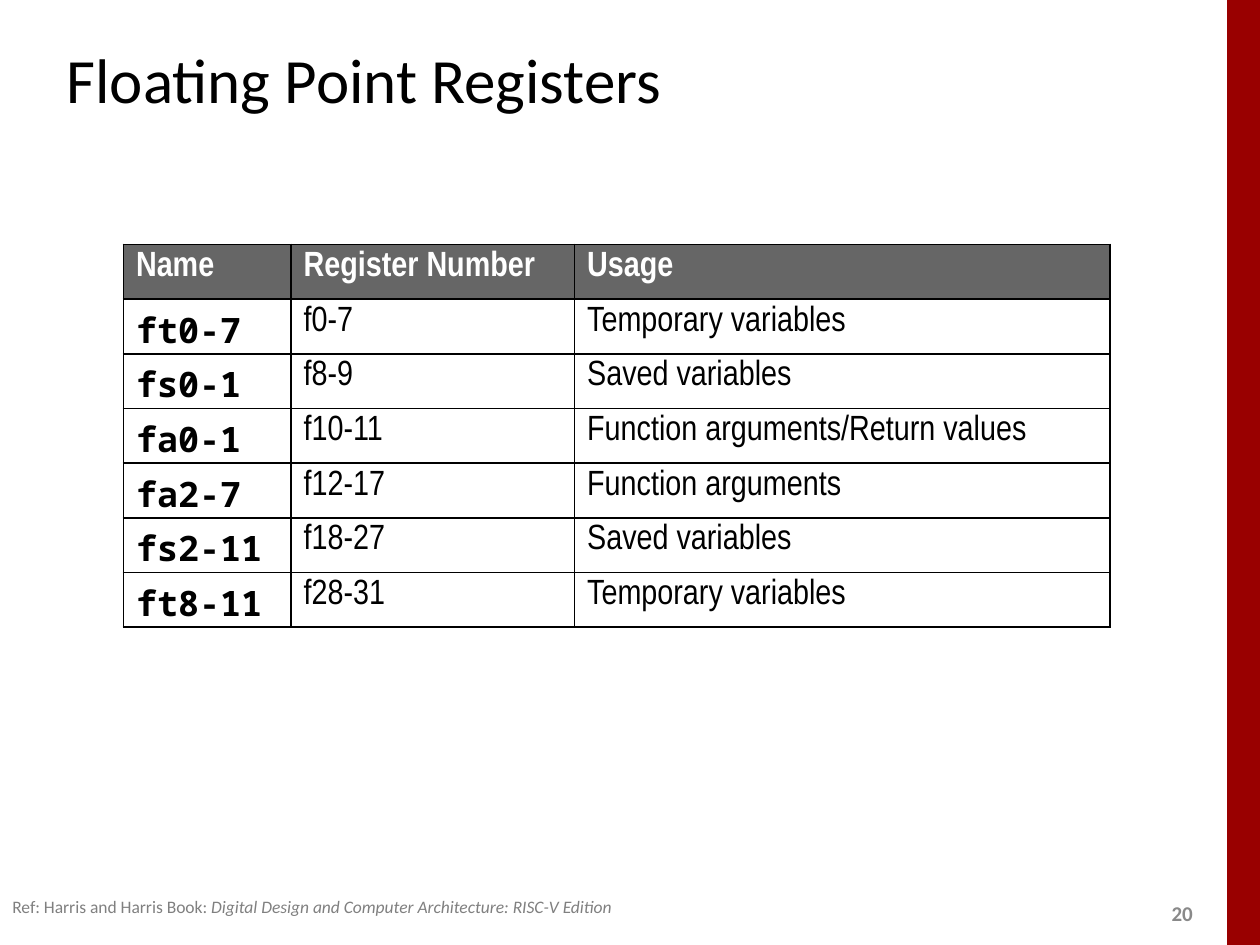
from lxml import etree
from pptx import Presentation
from pptx.dml.color import RGBColor
from pptx.enum.shapes import MSO_SHAPE
from pptx.enum.text import MSO_ANCHOR
from pptx.oxml.ns import qn
from pptx.util import Inches, Pt

RECTANGLE = MSO_SHAPE.RECTANGLE
TOP, MIDDLE = MSO_ANCHOR.TOP, MSO_ANCHOR.MIDDLE

COLORS = {
    "bar": "990000", "header": "666666", "white": "FFFFFF",
    "black": "000000", "number": "898989", "reference": "808080",
}
SANS, NARROW, MONO = "Calibri", "Arial Narrow", "Noto Sans Mono"

COLUMN_WIDTHS = [1.33, 2.25, 4.25]
ROW_HEIGHT = 0.38
REGISTERS = [
    ("Name", "Register Number", "Usage"),
    ("ft0-7", "f0-7", "Temporary variables"),
    ("fs0-1", "f8-9", "Saved variables"),
    ("fa0-1", "f10-11", "Function arguments/Return values"),
    ("fa2-7", "f12-17", "Function arguments"),
    ("fs2-11", "f18-27", "Saved variables"),
    ("ft8-11", "f28-31", "Temporary variables"),
]


def rgb(name):
    """Return the named colour."""
    return RGBColor.from_string(COLORS[name])


def add_text(para, text, size=20, font=SANS, color="black", bold=False,
             italic=False, hanging=0):
    """Append a formatted span to a paragraph."""
    span = para.add_run()
    span.text = text
    span.font.size = Pt(size)
    span.font.name = font
    span.font.bold = bold
    span.font.italic = italic
    span.font.color.rgb = rgb(color)
    if hanging:
        properties = para._p.get_or_add_pPr()
        properties.set("marL", str(Inches(hanging)))
        properties.set("indent", str(-Inches(hanging)))


def add_borders(cell, color="black", width=1):
    """Draw a solid line on all four sides of a cell."""
    properties = cell._tc.get_or_add_tcPr()
    for index, side in enumerate(("lnL", "lnR", "lnT", "lnB")):
        line = etree.Element(qn(f"a:{side}"), w=str(Pt(width)))
        fill = etree.SubElement(line, qn("a:solidFill"))
        etree.SubElement(fill, qn("a:srgbClr"), val=COLORS[color])
        properties.insert(index, line)


class SlideBuilder:
    """Adds styled elements to the current slide."""

    def __init__(self, page):
        """Keep the slide that receives the elements."""
        self.page = page

    def bar(self, left, top, width, height, color):
        """Add a plain filled rectangle."""
        bar = self.page.shapes.add_shape(
            RECTANGLE, Inches(left), Inches(top), Inches(width), Inches(height))
        bar.shadow.inherit = False
        bar.fill.solid()
        bar.fill.fore_color.rgb = rgb(color)
        bar.line.fill.background()

    def text(self, left, top, width, height, spans, anchor=TOP, **style):
        """Add a text box holding one paragraph of (text, extra style) spans."""
        box = self.page.shapes.add_textbox(
            Inches(left), Inches(top), Inches(width), Inches(height))
        frame = box.text_frame
        frame.word_wrap = True
        frame.vertical_anchor = anchor
        for text, extra in spans:
            add_text(frame.paragraphs[0], text, **{**style, **extra})

    def table(self, left, top, rows, widths, row_height):
        """Add a bordered table with a dark header and a code column."""
        table = self.page.shapes.add_table(
            len(rows), len(widths), Inches(left), Inches(top),
            Inches(sum(widths)), Inches(row_height * len(rows))).table
        table.horz_banding = False
        for column, width in zip(table.columns, widths):
            column.width = Inches(width)
        for r, row in enumerate(rows):
            for c, text in enumerate(row):
                is_header = r == 0
                is_code = c == 0 and not is_header
                cell = table.cell(r, c)
                cell.fill.solid()
                cell.fill.fore_color.rgb = rgb("header" if is_header else "white")
                add_borders(cell)
                add_text(cell.text_frame.paragraphs[0], text,
                         font=MONO if is_code else NARROW,
                         color="white" if is_header else "black",
                         bold=is_header or is_code, hanging=0.38)


def main():
    """Build and save the slide."""
    deck = Presentation()
    deck.slide_width, deck.slide_height = Inches(10), Inches(7.5)
    builder = SlideBuilder(deck.slides.add_slide(deck.slide_layouts[6]))

    builder.bar(9.74, 0, 0.26, 7.5, "bar")
    builder.text(9.2, 7.1, 0.4, 0.3, [("20", {})], anchor=MIDDLE,
                 size=12, color="number", bold=True)
    builder.text(0.43, 0.21, 8.3, 0.83, [("Floating Point Registers", {})],
                 anchor=MIDDLE, size=36, hanging=0.13)
    builder.table(0.98, 1.94, REGISTERS, COLUMN_WIDTHS, ROW_HEIGHT)
    builder.text(0, 7.06, 6.46, 0.27, [
        ("Ref: Harris and Harris Book: ", {}),
        ("Digital Design and Computer Architecture: RISC-V Edition",
         {"italic": True}),
    ], size=10, color="reference")

    deck.save("out.pptx")


main()
